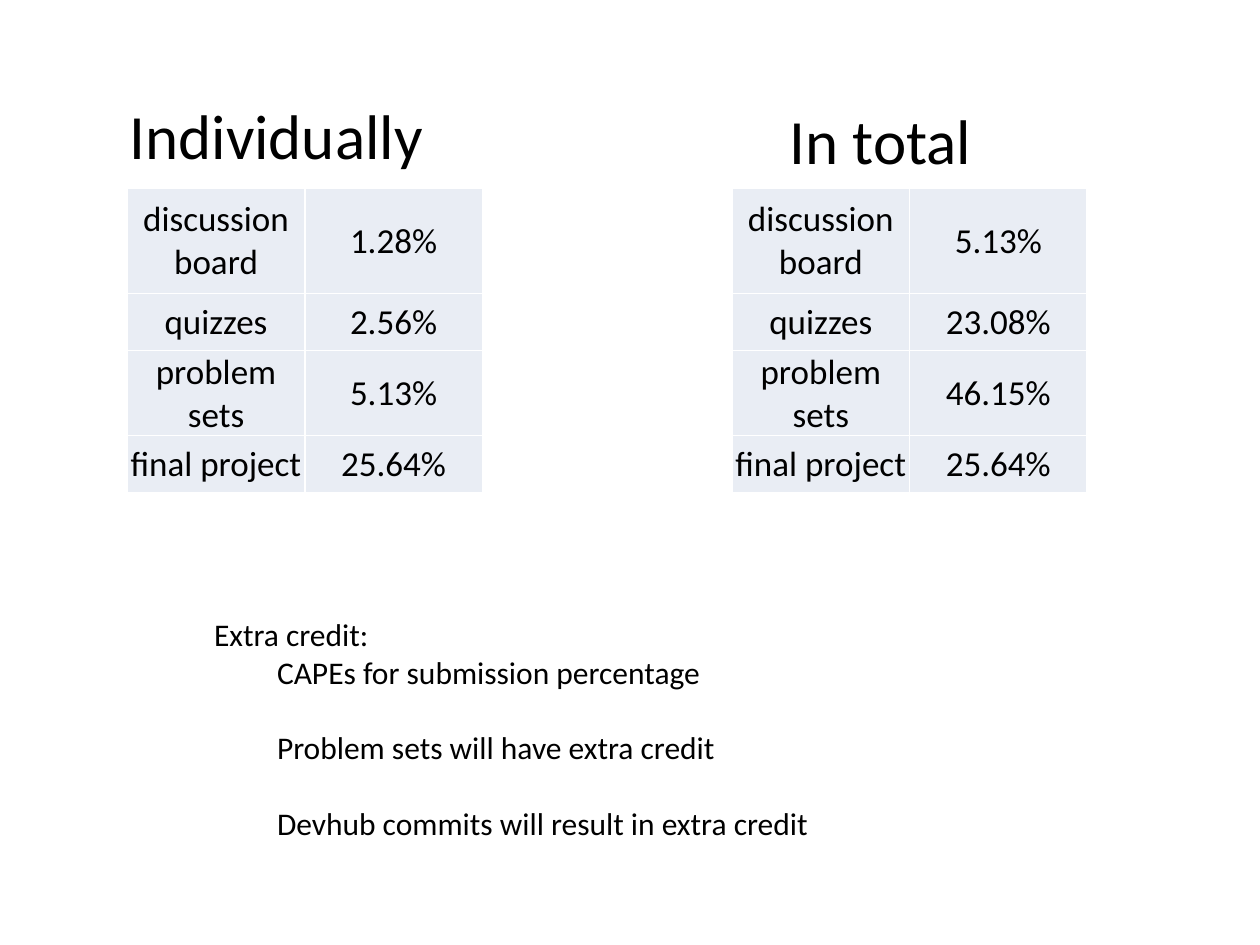
from dataclasses import dataclass

from lxml import etree
from pptx import Presentation
from pptx.dml.color import RGBColor
from pptx.enum.text import MSO_ANCHOR, MSO_AUTO_SIZE, PP_ALIGN
from pptx.oxml.ns import qn
from pptx.slide import Slide
from pptx.table import _Cell
from pptx.text.text import TextFrame, _Paragraph
from pptx.util import Pt

CENTER = PP_ALIGN.CENTER
MIDDLE = MSO_ANCHOR.MIDDLE
FIT_SHAPE = MSO_AUTO_SIZE.SHAPE_TO_FIT_TEXT
BLANK_LAYOUT = 6

BLACK = RGBColor(0x00, 0x00, 0x00)
WHITE = RGBColor(0xFF, 0xFF, 0xFF)
PALE_BLUE = RGBColor(0xE9, 0xED, 0xF4)
FONT = "Calibri"

TABLE_TOP = Pt(107.3)
COLUMN_WIDTH = Pt(101.5)
ROW_HEIGHTS = (Pt(60.5), Pt(32.4), Pt(32.4), Pt(32.4))
CELL_MARGIN = Pt(0.72)
BORDER_WIDTH = Pt(1)
BORDER_TAGS = ("a:lnL", "a:lnR", "a:lnT", "a:lnB")
CATEGORIES = ("discussion board", "quizzes", "problem sets", "final project")


@dataclass(frozen=True)
class Box:
    left: float
    top: float
    width: float
    height: float


@dataclass(frozen=True)
class WeightTable:
    heading: str
    heading_box: Box
    left: float
    weights: tuple[str, ...]


@dataclass(frozen=True)
class Note:
    text: str
    indent: float = 0
    space_before: float = 0


WEIGHT_TABLES = (
    WeightTable("In total", Box(444.2, 54.7, 172.8, 51), 418.3,
                ("5.13%", "23.08%", "46.15%", "25.64%")),
    WeightTable("Individually", Box(67, 51.8, 208.8, 51), 72.7,
                ("1.28%", "2.56%", "5.13%", "25.64%")),
)
NOTES_BOX = Box(115.2, 347.8, 387.4, 138.2)
NOTES = (
    Note("Extra credit:"),
    Note("CAPEs for submission percentage", 36),
    Note("Problem sets will have extra credit", 36, 21.6),
    Note("Devhub commits will result in extra credit", 36, 21.6),
)


def add_run(paragraph: _Paragraph, text: str, size: float) -> None:
    run = paragraph.add_run()
    run.text = text
    run.font.name = FONT
    run.font.size = Pt(size)
    run.font.color.rgb = BLACK


def add_text_box(slide: Slide, box: Box) -> TextFrame:
    shape = slide.shapes.add_textbox(Pt(box.left), Pt(box.top), Pt(box.width), Pt(box.height))
    shape.text_frame.word_wrap = True
    shape.text_frame.auto_size = FIT_SHAPE
    return shape.text_frame


def add_borders(cell: _Cell) -> None:
    properties = cell._tc.get_or_add_tcPr()
    for tag in BORDER_TAGS:
        line = etree.SubElement(properties, qn(tag), w=str(BORDER_WIDTH))
        fill = etree.SubElement(line, qn("a:solidFill"))
        etree.SubElement(fill, qn("a:srgbClr"), val=str(WHITE))


def fill_cell(cell: _Cell, text: str) -> None:
    add_borders(cell)
    cell.fill.solid()
    cell.fill.fore_color.rgb = PALE_BLUE
    cell.vertical_anchor = MIDDLE
    cell.margin_left = cell.margin_right = cell.margin_top = CELL_MARGIN
    cell.margin_bottom = 0
    paragraph = cell.text_frame.paragraphs[0]
    paragraph.alignment = CENTER
    add_run(paragraph, text, 20)


def add_weight_table(slide: Slide, content: WeightTable) -> None:
    heading = add_text_box(slide, content.heading_box)
    add_run(heading.paragraphs[0], content.heading, 36)
    table = slide.shapes.add_table(
        len(CATEGORIES), 2, Pt(content.left), TABLE_TOP, 2 * COLUMN_WIDTH, sum(ROW_HEIGHTS)
    ).table
    table.first_row = False
    table.horz_banding = False
    for column in table.columns:
        column.width = COLUMN_WIDTH
    for row, height, texts in zip(table.rows, ROW_HEIGHTS, zip(CATEGORIES, content.weights)):
        row.height = height
        for cell, text in zip(row.cells, texts):
            fill_cell(cell, text)


def add_notes(slide: Slide) -> None:
    text_frame = add_text_box(slide, NOTES_BOX)
    for index, note in enumerate(NOTES):
        paragraph = text_frame.add_paragraph() if index else text_frame.paragraphs[0]
        if note.indent:
            paragraph._p.get_or_add_pPr().set("marL", str(Pt(note.indent)))
        if note.space_before:
            paragraph.space_before = Pt(note.space_before)
        add_run(paragraph, note.text, 18)


def main() -> None:
    presentation = Presentation()
    presentation.slide_width = Pt(720)
    presentation.slide_height = Pt(540)
    slide = presentation.slides.add_slide(presentation.slide_layouts[BLANK_LAYOUT])
    for content in WEIGHT_TABLES:
        add_weight_table(slide, content)
    add_notes(slide)
    presentation.save("out.pptx")


if __name__ == "__main__":
    main()
